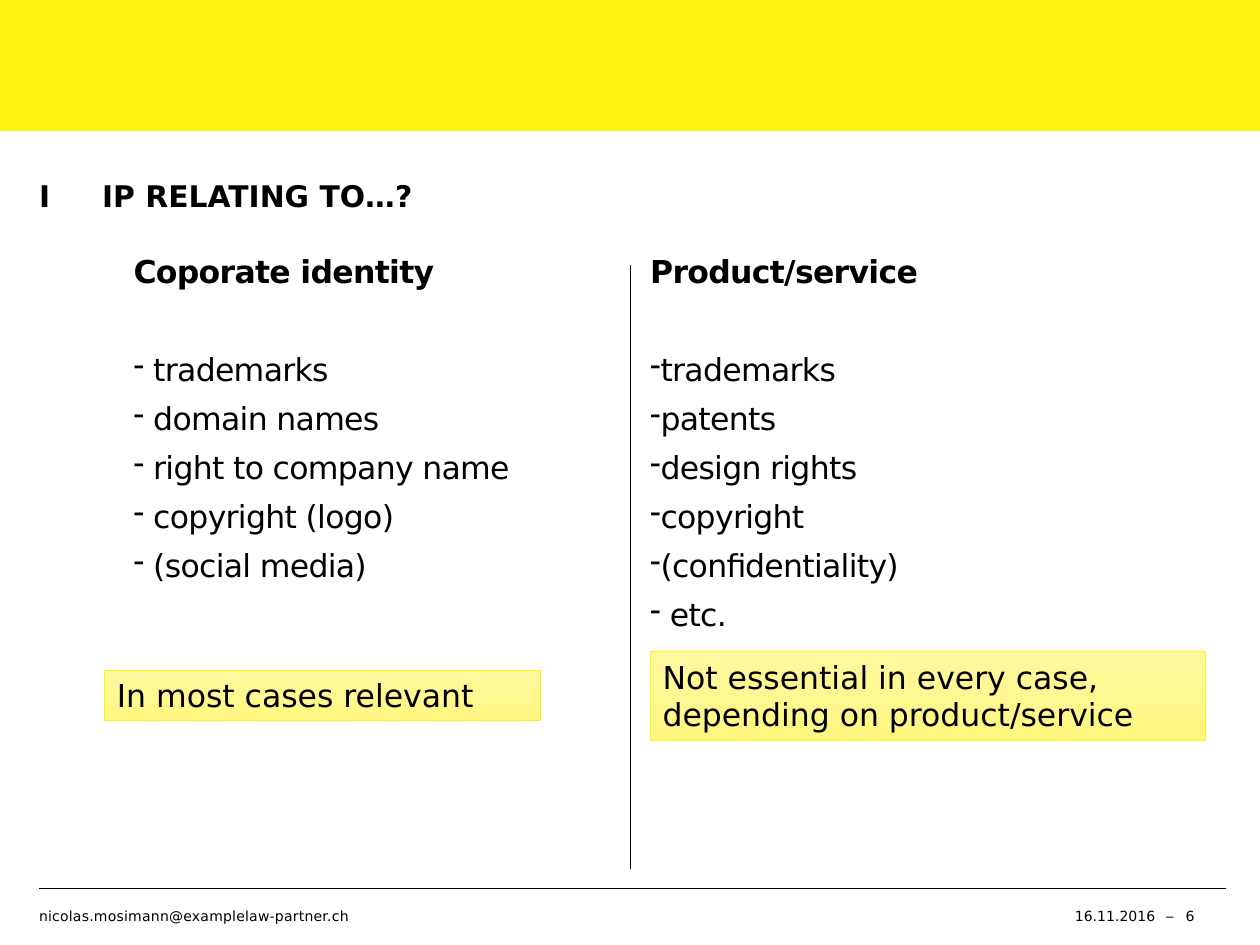
import copy

import pptx
import pptx.dml.color
import pptx.enum.shapes
import pptx.enum.text
import pptx.oxml.ns
import pptx.util
from lxml import etree

Inches, Pt = pptx.util.Inches, pptx.util.Pt
ALIGN = pptx.enum.text.PP_ALIGN
ANCHOR = pptx.enum.text.MSO_ANCHOR
RECT = pptx.enum.shapes.MSO_SHAPE.RECTANGLE
qn = pptx.oxml.ns.qn

FONT = "DejaVu Sans"
BLACK, YELLOW = "000000", "FFF40E"
NOTE_GRADIENT = ["FFF9A0", "FFF791", "FFF77D"]

TITLE = "I\tIP RELATING TO…?"
# left, height, heading, items
COLUMNS = [
    (1.06, 2.28, "Coporate identity",
     [" trademarks", " domain names", " right to company name",
      " copyright (logo)", " (social media)"]),
    (5.16, 3.15, "Product/service",
     ["trademarks", "patents", "design rights", "copyright",
      "(confidentiality)", " etc."]),
]
NOTES = [
    ((0.83, 5.32, 3.46, 0.4), "In most cases relevant"),
    ((5.16, 5.17, 4.41, 0.71),
     "Not essential in every case, depending on product/service"),
]
# left, width, text, alignment, letter spacing
FOOTER = [
    (0.31, 6.38, "nicolas.mosimann@examplelaw-partner.ch", ALIGN.LEFT, 0.1),
    (7.65, 1.52, "16.11.2016", ALIGN.RIGHT, 0),
    (9.22, 0.13, "‒", ALIGN.CENTER, 0),
    (9.41, 0.27, "6", ALIGN.LEFT, 0),
]
RULES = [(0.31, 7.05, 9.73, 7.05), (5, 2.1, 5, 6.9)]


def rgb(color):
    return pptx.dml.color.RGBColor.from_string(color)


def style(p, size, bold=False, spacing=0):
    """Format the runs of a paragraph; spacing is in points."""
    for r in p.runs:
        r.font.name, r.font.size, r.font.bold = FONT, Pt(size), bold
        r.font.color.rgb = rgb(BLACK)
        if spacing:
            r._r.get_or_add_rPr().set("spc", str(round(spacing * 100)))


def add_text(slide, box, anchor=ANCHOR.TOP, wrap=True):
    tf = slide.shapes.add_textbox(*map(Inches, box)).text_frame
    tf.word_wrap = wrap
    tf.vertical_anchor = anchor
    tf.margin_left = tf.margin_top = tf.margin_right = tf.margin_bottom = 0
    return tf


def add_rect(slide, box):
    sp = slide.shapes.add_shape(RECT, *map(Inches, box))
    sp.shadow.inherit = False
    return sp


def add_rule(slide, ends):
    line = slide.shapes.add_connector(
        pptx.enum.shapes.MSO_CONNECTOR.STRAIGHT, *map(Inches, ends))
    line.line.color.rgb = rgb(BLACK)
    line.line.width = Pt(0.5)
    etree.SubElement(line._element.spPr, qn("a:effectLst"))


def add_column(slide, left, height, heading, items):
    tf = add_text(slide, (left, 2.02, 3.78, height))
    for i, text in enumerate([heading] + items):
        p = tf.paragraphs[0] if i == 0 else tf.add_paragraph()
        p.text = text
        p.line_spacing = Pt(20)
        if i > 0:
            # the first item stands one line further below the heading
            p.space_before = Pt(36 if i == 1 else 8)
            pPr = p._p.get_or_add_pPr()
            pPr.set("marL", "0")
            pPr.set("indent", "0")
            etree.SubElement(pPr, qn("a:buChar"), char="-")
        style(p, 18, bold=i == 0, spacing=-0.4)


def add_note(slide, box, text):
    sp = add_rect(slide, box)
    sp.fill.gradient()
    sp.fill.gradient_angle = 270
    stops = sp.fill._fill._gradFill.find(qn("a:gsLst"))
    stops.insert(1, copy.deepcopy(stops[0]))
    for i, (stop, color) in enumerate(zip(stops, NOTE_GRADIENT)):
        stop.set("pos", str(i * 50000))
        stop.remove(stop[0])
        etree.SubElement(stop, qn("a:srgbClr"), val=color)
    sp.line.color.rgb = rgb(YELLOW)
    sp.line.width = Pt(0.5)
    tf = sp.text_frame
    tf.word_wrap = True
    tf.vertical_anchor = ANCHOR.TOP
    tf.text = text
    tf.paragraphs[0].alignment = ALIGN.LEFT
    style(tf.paragraphs[0], 18)


def main():
    prs = pptx.Presentation()
    prs.slide_width, prs.slide_height = Inches(10), Inches(7.5)
    slide = prs.slides.add_slide(prs.slide_layouts[6])

    banner = add_rect(slide, (0, 0, 10, 1.04))
    banner.fill.solid()
    banner.fill.fore_color.rgb = rgb(YELLOW)
    banner.line.fill.background()

    for ends in RULES:
        add_rule(slide, ends)

    tf = add_text(slide, (0.31, 1.26, 8.62, 0.59), ANCHOR.MIDDLE)
    tf.text = TITLE
    style(tf.paragraphs[0], 17, bold=True)

    for column in COLUMNS:
        add_column(slide, *column)
    for box, text in NOTES:
        add_note(slide, box, text)
    for left, width, text, align, spacing in FOOTER:
        tf = add_text(slide, (left, 7.19, width, 0.16), ANCHOR.MIDDLE)
        tf.text = text
        tf.paragraphs[0].alignment = align
        style(tf.paragraphs[0], 8, spacing=spacing)

    prs.save("out.pptx")


if __name__ == "__main__":
    main()
